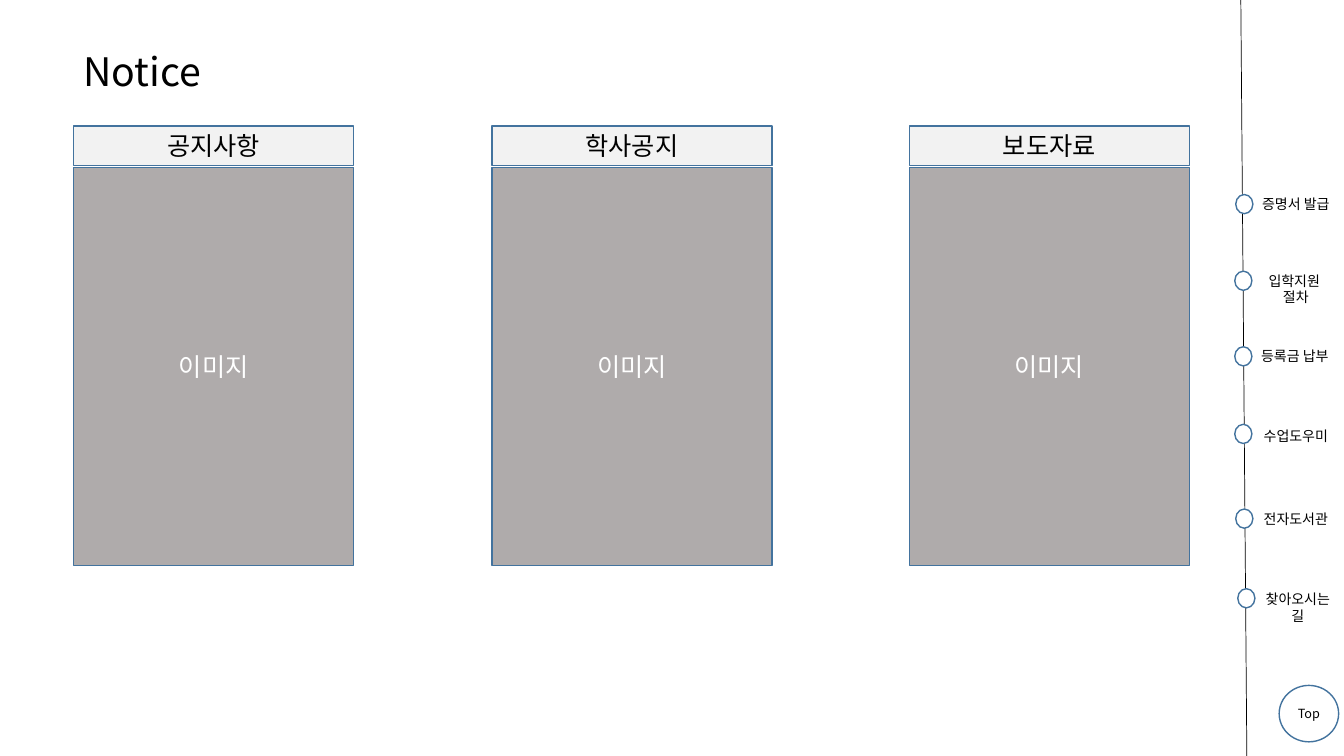
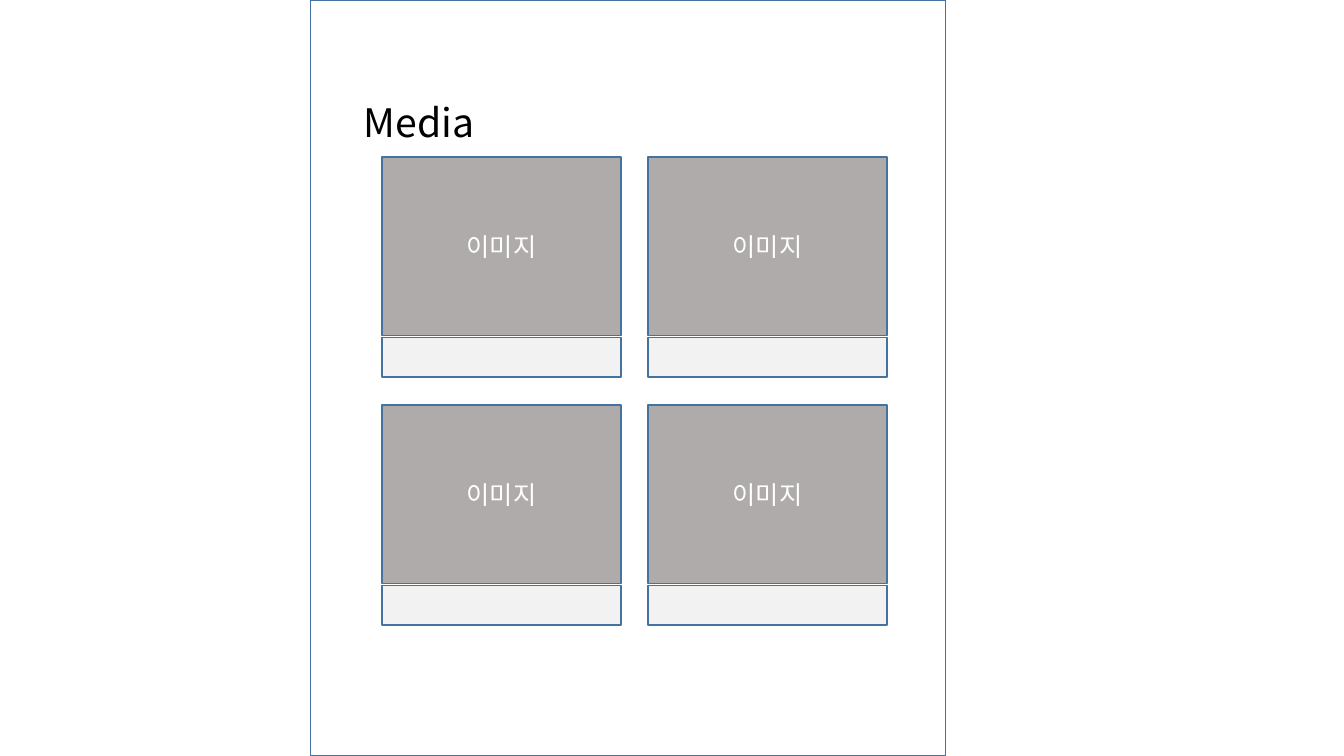
from itertools import product

from lxml.etree import SubElement
from pptx import Presentation
from pptx.dml.color import RGBColor
from pptx.enum.shapes import MSO_CONNECTOR as Connector, MSO_SHAPE as Preset
from pptx.enum.text import MSO_ANCHOR as Anchor, PP_ALIGN as Align
from pptx.oxml.ns import qn
from pptx.util import Emu, Pt

SLIDE_SIZE = (Emu(12192000), Emu(6858000))
FONT = "Noto Sans CJK KR"
COLORS = {
    "white": "FFFFFF",
    "black": "000000",
    "image": "AFABAB",
    "label": "F2F2F2",
    "outline": "43739E",
}
IMAGE_TEXT = "이미지"
LABEL_HEIGHT = 39
LABEL_GAP = 2
NOTICES = ["공지사항", "학사공지", "보도자료"]
QUICK_LINKS = [
    ("증명서 발급", 1226, 193, 1238, 189, 27),
    ("입학지원 \n절차", 1225, 269, 1238, 265, 44),
    ("등록금 납부", 1225, 344, 1237, 340, 27),
    ("수업도우미", 1225, 421, 1238, 419, 27),
    ("전자도서관", 1226, 505, 1238, 502, 27),
    ("찾아오시는길", 1228, 584, 1240, 581, 44),
]


def px(*lengths):
    return [Emu(length * 9144) for length in lengths]


def color(name):
    return RGBColor.from_string(COLORS[name])


def write_text(shape, text, size=18, fill="black", align=Align.CENTER,
               anchor=Anchor.MIDDLE, wrap=True):
    frame = shape.text_frame
    frame.word_wrap = wrap
    frame.vertical_anchor = anchor
    frame.text = text
    for paragraph in frame.paragraphs:
        paragraph.alignment = align
        for run in paragraph.runs:
            run.font.size = Pt(size)
            run.font.name = FONT
            run.font.color.rgb = color(fill)
            SubElement(run.font._element, qn("a:ea"), typeface=FONT)


def add_box(shapes, box, preset=Preset.FLOWCHART_PROCESS, fill="white"):
    shape = shapes.add_shape(preset, *px(*box))
    shape.shadow.inherit = False
    shape.fill.solid()
    shape.fill.fore_color.rgb = color(fill)
    shape.line.color.rgb = color("outline")
    shape.line.width = Pt(1)
    return shape


def add_text(shapes, box, text, **text_format):
    write_text(shapes.add_textbox(*px(*box)), text, anchor=Anchor.TOP, **text_format)


def add_title(shapes, box, text):
    add_text(shapes, box, text, size=28, align=Align.LEFT)


def add_image(shapes, box):
    image = add_box(shapes, box, fill="image")
    write_text(image, IMAGE_TEXT, fill="white")


def add_notice_card(shapes, box, heading):
    left, top, width, height = box
    offset = LABEL_HEIGHT + LABEL_GAP
    add_image(shapes, (left, top + offset, width, height - offset))
    label = add_box(shapes, (left, top, width, LABEL_HEIGHT), fill="label")
    write_text(label, heading)


def add_media_card(shapes, box):
    left, top, width, height = box
    add_image(shapes, (left, top, width, height - LABEL_HEIGHT - LABEL_GAP))
    add_box(shapes, (left, top + height - LABEL_HEIGHT, width, LABEL_HEIGHT), fill="label")


def add_quick_menu(shapes):
    top_button = add_box(shapes, (1269, 680, 59, 56), Preset.FLOWCHART_CONNECTOR)
    write_text(top_button, "Top", size=9, wrap=False)
    rail = shapes.add_connector(Connector.STRAIGHT, *px(1231, 0, 1237, 750))
    rail.line.color.rgb = color("black")
    rail.line.width = Pt(0.5)
    SubElement(rail._element.spPr, qn("a:effectLst"))
    for text, dot_left, dot_top, text_left, text_top, text_height in QUICK_LINKS:
        add_box(shapes, (dot_left, dot_top, 17, 19), Preset.FLOWCHART_CONNECTOR)
        add_text(shapes, (text_left, text_top, 95, text_height), text, size=10)


def build_notice(slide):
    add_title(slide.shapes, (73, 42, 176, 57), "Notice")
    for column, heading in enumerate(NOTICES):
        left = round(73 + column * 414.5)
        add_notice_card(slide.shapes, (left, 125, 278, 436), heading)
    add_quick_menu(slide.shapes.add_group_shape().shapes)


def build_media(slide):
    panel = add_box(slide.shapes, (308, 0, 630, 750), Preset.ROUNDED_RECTANGLE)
    panel.adjustments[0] = 0
    gallery = slide.shapes.add_group_shape().shapes
    add_title(gallery, (351, 93, 184, 118), "Media")
    for row, column in product(range(2), repeat=2):
        add_media_card(gallery, (379 + column * 264, 156 + row * 246, 237, 218))


def main():
    presentation = Presentation()
    presentation.slide_width, presentation.slide_height = SLIDE_SIZE
    for build in (build_notice, build_media):
        build(presentation.slides.add_slide(presentation.slide_layouts[6]))
    presentation.save("out.pptx")


if __name__ == "__main__":
    main()
